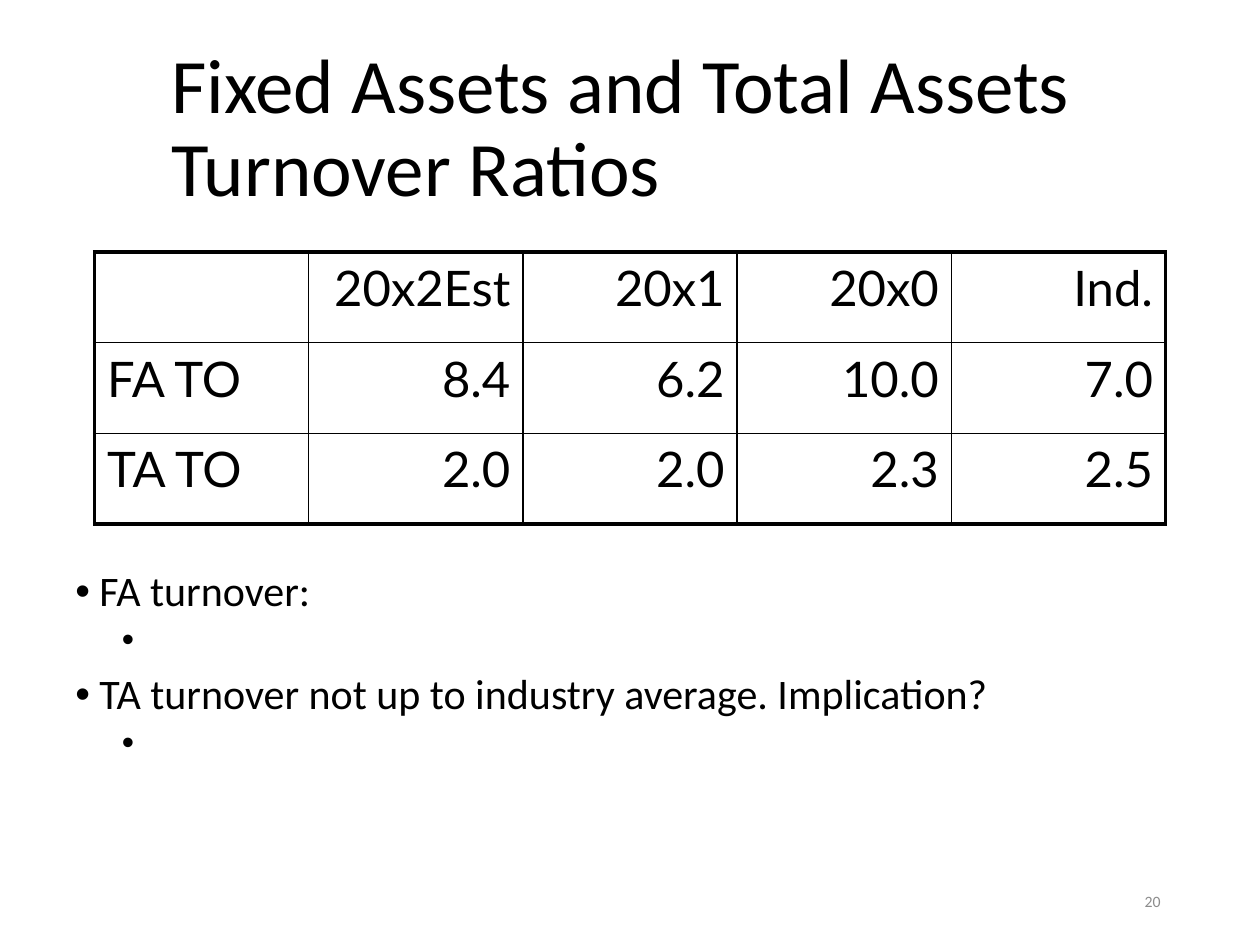
from dataclasses import dataclass

from lxml.etree import SubElement
from pptx import Presentation
from pptx.dml.color import RGBColor
from pptx.enum.text import MSO_ANCHOR, PP_ALIGN
from pptx.oxml.ns import qn
from pptx.util import Inches, Pt

COLUMNS, ROWS = 100, 75
WIDTH, HEIGHT = Inches(10), Inches(7.5)
BLACK, GREY = "000000", "8C8C8C"
THIN, THICK = 1, 2.25


@dataclass
class Area:
    column: float
    row: float
    columns: float
    rows: float

    def place(self) -> tuple[int, int, int, int]:
        return (
            round(WIDTH * self.column / COLUMNS),
            round(HEIGHT * self.row / ROWS),
            round(WIDTH * self.columns / COLUMNS),
            round(HEIGHT * self.rows / ROWS),
        )


@dataclass
class Bullet:
    text: str
    level: int = 0


RATIOS = [
    ["", "20x2Est", "20x1", "20x0", "Ind."],
    ["FA TO", "8.4", "6.2", "10.0", "7.0"],
    ["TA TO", "2.0", "2.0", "2.3", "2.5"],
]
BULLETS = [
    Bullet("FA turnover:"),
    Bullet(" ", level=1),
    Bullet("TA turnover not up to industry average. Implication?"),
    Bullet(" ", level=1),
]


def colour(value: str) -> RGBColor:
    return RGBColor.from_string(value)


def write(para, text: str, *, size: float, font="Calibri", fill=BLACK,
          align=PP_ALIGN.LEFT, spacing=None, before=None) -> None:
    para.alignment = align
    para.line_spacing = spacing
    if before is not None:
        para.space_before = Pt(before)
    for index, line in enumerate(text.split("\n")):
        if index:
            para.add_line_break()
        span = para.add_run()
        span.text = line
        span.font.size = Pt(size)
        span.font.name = font
        span.font.color.rgb = colour(fill)


def add_box(page, area: Area, anchor=MSO_ANCHOR.TOP):
    frame = page.shapes.add_textbox(*area.place()).text_frame
    frame.word_wrap = True
    frame.vertical_anchor = anchor
    return frame


def add_bullets(page, area: Area, bullets: list[Bullet]) -> None:
    frame = add_box(page, area)
    for index, bullet in enumerate(bullets):
        para = frame.add_paragraph() if index else frame.paragraphs[0]
        para.level = bullet.level
        size, before, indent = [(24, 7.5, 0.19), (20, 3.8, 0.56)][bullet.level]
        write(para, bullet.text, size=size, spacing=0.9,
              before=before if index else None)
        properties = para._p.get_or_add_pPr()
        properties.set("marL", str(Inches(indent)))
        properties.set("indent", str(Inches(-0.19)))
        SubElement(properties, qn("a:buFont"), typeface="Arial")
        SubElement(properties, qn("a:buChar"), char="•")


def set_borders(cell, widths: dict[str, float]) -> None:
    properties = cell._tc.get_or_add_tcPr()
    for side, width in widths.items():
        line = SubElement(properties, qn(f"a:ln{side}"), w=str(Pt(width)))
        fill = SubElement(line, qn("a:solidFill"))
        SubElement(fill, qn("a:srgbClr"), val=BLACK)


def add_ratio_table(page, area: Area, values: list[list[str]]) -> None:
    last_row, last_column = len(values) - 1, len(values[0]) - 1
    table = page.shapes.add_table(last_row + 1, last_column + 1, *area.place()).table
    table.first_row = table.horz_banding = False
    for row, texts in enumerate(values):
        for column, text in enumerate(texts):
            cell = table.cell(row, column)
            set_borders(cell, {
                "L": THICK if column == 0 else THIN,
                "R": THICK if column == last_column else THIN,
                "T": THICK if row == 0 else THIN,
                "B": THICK if row == last_row else THIN,
            })
            cell.fill.background()
            if text:
                write(cell.text_frame.paragraphs[0], text, size=28, font="Lato",
                      align=PP_ALIGN.RIGHT if column else PP_ALIGN.LEFT)


def main() -> None:
    deck = Presentation()
    deck.slide_width, deck.slide_height = WIDTH, HEIGHT
    page = deck.slides.add_slide(deck.slide_layouts[6])

    number = add_box(page, Area(70.6, 69.5, 22.5, 4), MSO_ANCHOR.MIDDLE)
    write(number.paragraphs[0], "20", size=9, fill=GREY, align=PP_ALIGN.RIGHT)

    title = add_box(page, Area(12.6, 2.3, 85.2, 16), MSO_ANCHOR.MIDDLE)
    write(title.paragraphs[0], "Fixed Assets and Total Assets\nTurnover Ratios",
          size=44, spacing=0.9)

    add_bullets(page, Area(5, 44.8, 93.8, 21.6), BULLETS)
    add_ratio_table(page, Area(7.5, 20, 85, 21.6), RATIOS)
    deck.save("out.pptx")


if __name__ == "__main__":
    main()
